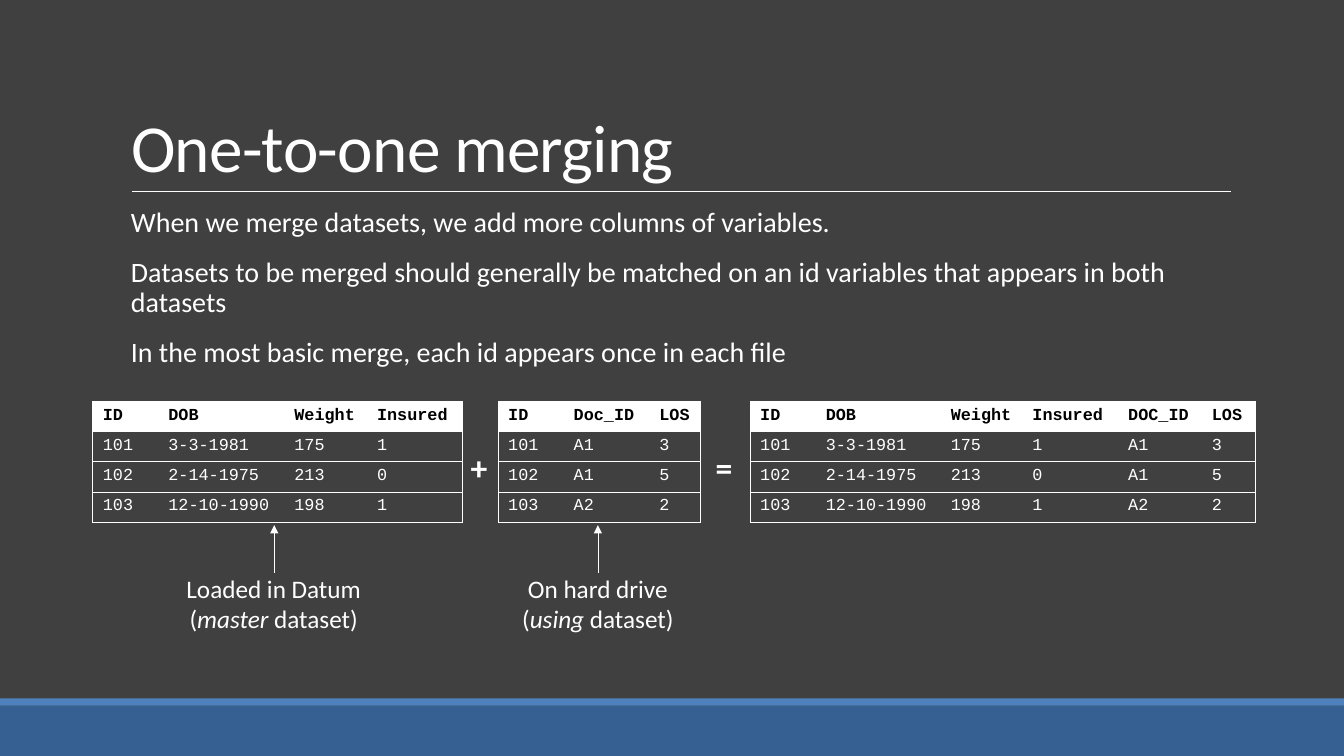
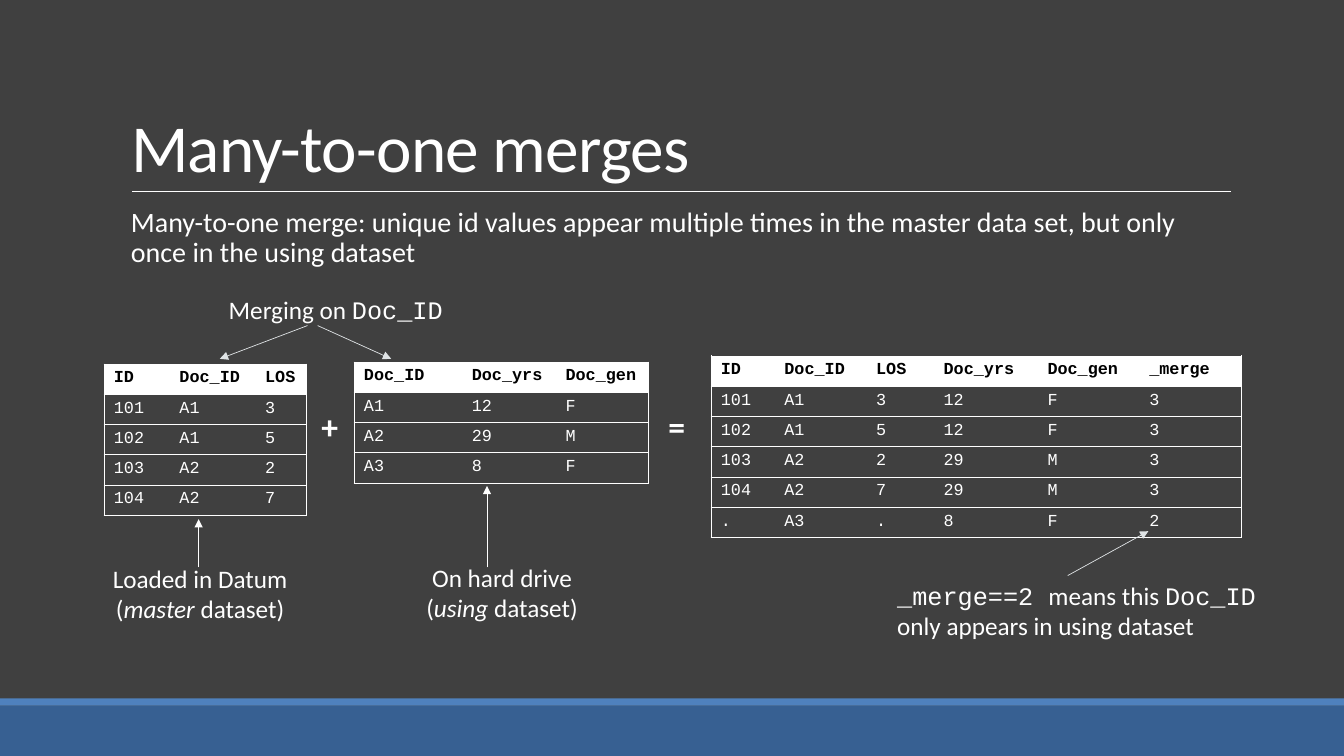
"""Build two slides that explain one-to-one and many-to-one dataset merges."""
from dataclasses import dataclass

from lxml import etree
from pptx import Presentation
from pptx.dml.color import RGBColor
from pptx.enum.shapes import MSO_CONNECTOR, MSO_SHAPE
from pptx.enum.text import MSO_ANCHOR, MSO_AUTO_SIZE, PP_ALIGN
from pptx.oxml.ns import qn
from pptx.util import Inches, Pt

RECTANGLE = MSO_SHAPE.RECTANGLE
STRAIGHT = MSO_CONNECTOR.STRAIGHT
LEFT, CENTER = PP_ALIGN.LEFT, PP_ALIGN.CENTER
BOTTOM = MSO_ANCHOR.BOTTOM
NO_AUTOFIT = MSO_AUTO_SIZE.NONE
PLAIN_TABLE_STYLE = "{2D5ABB26-0587-4C30-8999-92F81FD0307C}"


@dataclass(frozen=True)
class Theme:
    background: str = "404040"
    band: str = "376092"
    band_edge: str = "4F81BD"
    light: str = "FFFFFF"
    dark: str = "000000"
    pointer: str = "DFE3E5"
    font: str = "Calibri"
    code_font: str = "Courier New"
    title_size: int = 48
    body_size: int = 20
    label_size: int = 18
    operator_size: int = 24
    table_size: int = 12
    line_width: float = 0.5


THEME = Theme()
CODE = {"font": THEME.code_font}
ITALIC = {"italic": True}


def write_text(frame, paragraphs, size=THEME.label_size, font=THEME.font, color=THEME.light,
               bold=False, align=LEFT, line_spacing=None, before=None, after=None, tracking=None):
    frame.word_wrap = True
    for index, spans in enumerate(paragraphs):
        para = frame.add_paragraph() if index else frame.paragraphs[0]
        para.alignment = align
        para.line_spacing = line_spacing
        para.space_before = before
        para.space_after = after
        for text, style in [(spans, {})] if isinstance(spans, str) else spans:
            span = para.add_run()
            span.text = text
            span.font.name = style.get("font", font)
            span.font.size = Pt(size)
            span.font.bold = bold
            span.font.italic = style.get("italic", False)
            span.font.color.rgb = RGBColor.from_string(color)
            if tracking is not None:
                span.font._element.set("spc", str(tracking))


def draw_line(shapes, start, end, color=THEME.light, arrow=True):
    line = shapes.add_connector(STRAIGHT, *(Inches(value) for value in start + end))
    line.line.color.rgb = RGBColor.from_string(color)
    line.line.width = Pt(THEME.line_width)
    if arrow:
        etree.SubElement(line.line._get_or_add_ln(), qn("a:tailEnd"), type="triangle")
    etree.SubElement(line.element.spPr, qn("a:effectLst"))
    return line


MASTER_LABEL = [("Loaded in Datum (", {}), ("master", ITALIC), (" dataset)", {})]
USING_LABEL = [("On hard drive (", {}), ("using", ITALIC), (" dataset)", {})]

PAGES = [
    {
        "title": "One-to-one merging",
        "body": [
            "When we merge datasets, we add more columns of variables.",
            "Datasets to be merged should generally be matched on an id variables "
            "that appears in both datasets",
            "In the most basic merge, each id appears once in each file",
        ],
        "tables": [
            (0.92, 3.98, 0.29, [0.65, 1.25, 0.82, 0.95], [
                "ID DOB Weight Insured",
                "101 3-3-1981 175 1",
                "102 2-14-1975 213 0",
                "103 12-10-1990 198 1",
            ]),
            (4.94, 3.98, 0.29, [0.65, 0.85, 0.51], [
                "ID Doc_ID LOS",
                "101 A1 3",
                "102 A1 5",
                "103 A2 2",
            ]),
            (7.44, 3.98, 0.29, [0.65, 1.24, 0.81, 0.95, 0.83, 0.53], [
                "ID DOB Weight Insured DOC_ID LOS",
                "101 3-3-1981 175 1 A1 3",
                "102 2-14-1975 213 0 A1 5",
                "103 12-10-1990 198 1 A2 2",
            ]),
        ],
        "labels": [
            (1.65, 5.64, 2.13, 0.71, CENTER, MASTER_LABEL),
            (5.03, 5.64, 1.8, 0.71, CENTER, USING_LABEL),
        ],
        "operators": [("+", 4.57, 4.38), ("=", 7, 4.38)],
        "arrows": [
            ((2.72, 5.68), (2.72, 5.21), THEME.light),
            ((5.93, 5.68), (5.93, 5.21), THEME.light),
        ],
    },
    {
        "title": "Many-to-one merges",
        "body": [
            "Many-to-one merge: unique id values appear multiple times in the master "
            "data set, but only once in the using dataset",
        ],
        "tables": [
            (1.03, 3.61, 0.3, [0.65, 0.85, 0.51], [
                "ID Doc_ID LOS",
                "101 A1 3",
                "102 A1 5",
                "103 A2 2",
                "104 A2 7",
            ]),
            (3.51, 3.59, 0.29, [1.07, 0.93, 0.92], [
                "Doc_ID Doc_yrs Doc_gen",
                "A1 12 F",
                "A2 29 M",
                "A3 8 F",
            ]),
            (7.05, 3.53, 0.3, [0.63, 0.91, 0.67, 1.03, 1.01, 1.01], [
                "ID Doc_ID LOS Doc_yrs Doc_gen _merge",
                "101 A1 3 12 F 3",
                "102 A1 5 12 F 3",
                "103 A2 2 29 M 3",
                "104 A2 7 29 M 3",
                ". A3 . 8 F 2",
            ]),
        ],
        "labels": [
            (0.92, 5.54, 2.13, 0.71, CENTER, MASTER_LABEL),
            (4.08, 5.53, 1.8, 0.71, CENTER, USING_LABEL),
            (2.17, 2.87, 3.91, 0.71, LEFT, [("Merging on ", {}), ("Doc_ID", CODE)]),
            (8.8, 5.71, 3.91, 1.01, LEFT, [
                ("_merge==2 ", CODE), ("means this ", {}), ("Doc_ID ", CODE),
                ("only appears in using dataset", {}),
            ]),
        ],
        "operators": [("+", 3.09, 3.98), ("=", 6.53, 3.98)],
        "arrows": [
            ((1.97, 5.63), (1.97, 5.15), THEME.light),
            ((4.83, 5.63), (4.83, 4.82), THEME.light),
            ((3.05, 3.23), (2.18, 3.56), THEME.pointer),
            ((3.15, 3.23), (3.88, 3.56), THEME.pointer),
            ((10.59, 5.71), (11.39, 5.27), THEME.pointer),
        ],
    },
]

deck = Presentation()
deck.slide_width, deck.slide_height = Inches(13.33), Inches(7.5)
master_fill = deck.slide_master.background.fill
master_fill.solid()
master_fill.fore_color.rgb = RGBColor.from_string(THEME.background)

layout = deck.slide_layouts.get_by_name("Title Only")
title_holder = layout.placeholders[0]
title_holder.left, title_holder.top = Inches(1.2), Inches(0.31)
title_holder.width, title_holder.height = Inches(11), Inches(1.59)
pages = [deck.slides.add_slide(layout) for _ in PAGES]

decorations = []
for top, height, color in [(7, 0.5, THEME.band), (6.93, 0.07, THEME.band_edge)]:
    band = pages[0].shapes.add_shape(RECTANGLE, 0, Inches(top), deck.slide_width, Inches(height))
    band.shadow.inherit = False
    band.fill.solid()
    band.fill.fore_color.rgb = RGBColor.from_string(color)
    band.line.fill.background()
    decorations.append(band)
decorations.append(draw_line(pages[0].shapes, (1.31, 1.9), (12.21, 1.9), arrow=False))
for number, decoration in enumerate(decorations, start=100):
    decoration.element.xpath(".//p:cNvPr")[0].set("id", str(number))
    layout.element.cSld.spTree.append(decoration.element)

for page, content in zip(pages, PAGES):
    shapes = page.shapes
    title_frame = shapes.title.text_frame
    title_frame.vertical_anchor = BOTTOM
    title_frame.auto_size = NO_AUTOFIT
    write_text(title_frame, [content["title"]], size=THEME.title_size,
               line_spacing=0.85, tracking=-50)

    body = shapes.add_textbox(Inches(1.2), Inches(2.02), Inches(11), Inches(4.4))
    body.text_frame.margin_right = 0
    write_text(body.text_frame, content["body"], size=THEME.body_size,
               line_spacing=0.9, before=Pt(12), after=Pt(2))

    for left, top, row_height, widths, lines in content["tables"]:
        frame = shapes.add_table(len(lines), len(widths), Inches(left), Inches(top),
                                 Inches(sum(widths)), Inches(row_height * len(lines)))
        frame.element.xpath(".//a:tableStyleId")[0].text = PLAIN_TABLE_STYLE
        table = frame.table
        for column, width in zip(table.columns, widths):
            column.width = Inches(width)
        for row_index, line in enumerate(lines):
            table.rows[row_index].height = Inches(row_height)
            header = row_index == 0
            for column_index, text in enumerate(line.split()):
                cell = table.cell(row_index, column_index)
                write_text(cell.text_frame, [text], size=THEME.table_size, font=THEME.code_font,
                           color=THEME.dark if header else THEME.light, bold=header)
                sides = ["lnL"] if column_index == 0 else []
                sides += ["lnR"] if column_index == len(widths) - 1 else []
                for side in sides + ["lnT", "lnB"]:
                    border = etree.SubElement(cell._tc.get_or_add_tcPr(), qn(f"a:{side}"),
                                              w=str(Pt(THEME.line_width)))
                    border_fill = etree.SubElement(border, qn("a:solidFill"))
                    etree.SubElement(border_fill, qn("a:srgbClr"), val=THEME.light)
                if header:
                    cell.fill.solid()
                    cell.fill.fore_color.rgb = RGBColor.from_string(THEME.light)
                else:
                    cell.fill.background()

    for left, top, width, height, align, spans in content["labels"]:
        box = shapes.add_textbox(Inches(left), Inches(top), Inches(width), Inches(height))
        write_text(box.text_frame, [spans], align=align)

    for symbol, left, top in content["operators"]:
        box = shapes.add_textbox(Inches(left), Inches(top), Inches(0.27), Inches(0.5))
        write_text(box.text_frame, [symbol], size=THEME.operator_size, bold=True)

    for start, end, color in content["arrows"]:
        draw_line(shapes, start, end, color=color)

deck.save("out.pptx")
